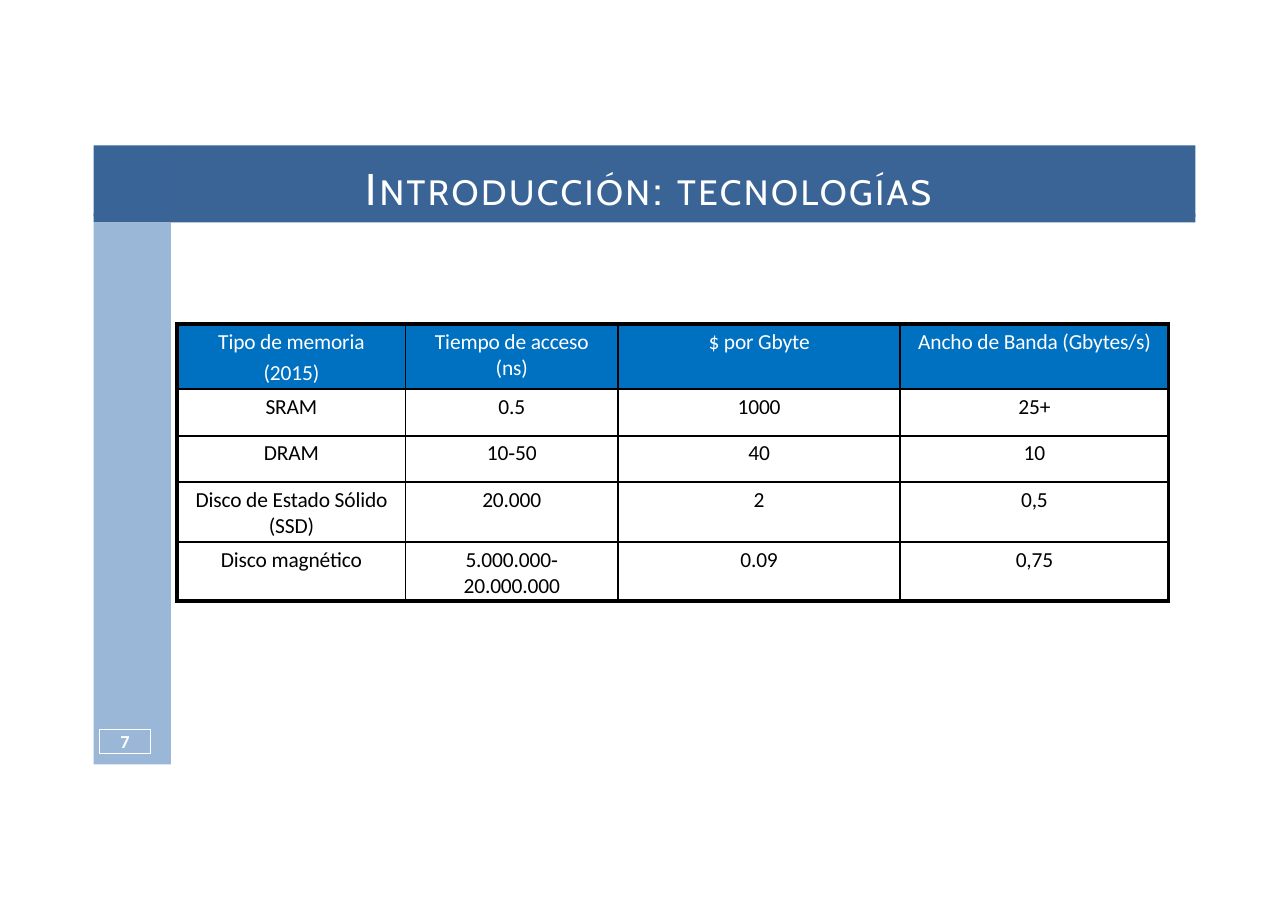
import dataclasses

import lxml.etree
import pptx
import pptx.dml.color
import pptx.enum.shapes
import pptx.enum.text
import pptx.oxml.ns
import pptx.util

RGBColor = pptx.dml.color.RGBColor
WHITE = RGBColor(0xFF, 0xFF, 0xFF)
BLACK = RGBColor(0, 0, 0)
HEADER_BLUE = RGBColor(0x39, 0x64, 0x95)
CORNER_BLUE = RGBColor(0x39, 0x64, 0x97)
SIDE_BLUE = RGBColor(0x9A, 0xB7, 0xD8)
TABLE_BLUE = RGBColor(0x00, 0x70, 0xC0)

SLIDE_WIDTH = pptx.util.Inches(11.69)
SLIDE_HEIGHT = pptx.util.Inches(8.27)
CENTER = pptx.enum.text.PP_ALIGN.CENTER


def across(percent: float) -> int:
    return round(SLIDE_WIDTH * percent / 100)


def down(percent: float) -> int:
    return round(SLIDE_HEIGHT * percent / 100)


@dataclasses.dataclass(frozen=True)
class Area:
    left: float
    top: float
    width: float
    height: float

    def box(self) -> tuple[int, int, int, int]:
        return across(self.left), down(self.top), across(self.width), down(self.height)


@dataclasses.dataclass(frozen=True)
class Band:
    area: Area
    color: RGBColor


@dataclasses.dataclass(frozen=True)
class Column:
    width: float
    side_margin: float = 0


BANDS = [
    Band(Area(13.26, 15.96, 79.55, 7.86), HEADER_BLUE),
    Band(Area(7.27, 24.43, 5.99, 59.49), SIDE_BLUE),
    Band(Area(7.27, 15.96, 5.99, 7.74), CORNER_BLUE),
    Band(Area(7.27, 23.46, 85.54, 0.97), HEADER_BLUE),
]
TITLE_AREA = Area(28.4, 17.65, 62.27, 6.17)
TITLE_SPANS = [("I", 29), ("NTRODUCCIÓN", 23), (": ", 29), ("TECNOLOGÍAS", 23)]
NUMBER_AREA = Area(7.7, 80.05, 4.02, 2.66)

TABLE_LEFT, TABLE_TOP = 13.77, 35.55
COLUMNS = [Column(17.71), Column(16.51, 1.71), Column(21.9), Column(20.87)]
ROW_HEIGHTS = [7.13, 5.14, 5.14, 6.53, 6.53]
MEMORY_ROWS = [
    [["Tipo de memoria", "(2015)"], ["Tiempo de acceso (ns)"],
     ["$ por Gbyte"], ["Ancho de Banda (Gbytes/s)"]],
    [["SRAM"], ["0.5"], ["1000"], ["25+"]],
    [["DRAM"], ["10‐50"], ["40"], ["10"]],
    [["Disco de Estado Sólido (SSD)"], ["20.000"], ["2"], ["0,5"]],
    [["Disco magnético"], ["5.000.000‐", "20.000.000"], ["0.09"], ["0,75"]],
]


def add_span(para, text: str, *, size: float, font: str = "Calibri",
             color: RGBColor = WHITE, bold: bool = False, spacing: float = 0) -> None:
    span = para.add_run()
    span.text = text
    span.font.size = pptx.util.Pt(size)
    span.font.name = font
    span.font.color.rgb = color
    span.font.bold = bold
    span.font._element.set("spc", str(round(spacing * 100)))


def set_margins(box, *, top: float = 0, side: float = 0) -> None:
    box.margin_left = box.margin_right = across(side)
    box.margin_top = down(top)
    box.margin_bottom = 0


def add_rectangle(page, area: Area):
    box = page.shapes.add_shape(pptx.enum.shapes.MSO_SHAPE.RECTANGLE, *area.box())
    box.shadow.inherit = False
    return box


def draw_band(page, band: Band) -> None:
    box = add_rectangle(page, band.area)
    box.fill.solid()
    box.fill.fore_color.rgb = band.color
    box.line.fill.background()


def draw_title(page) -> None:
    title = page.shapes.title
    title.left, title.top, title.width, title.height = TITLE_AREA.box()
    frame = title.text_frame
    frame.auto_size = pptx.enum.text.MSO_AUTO_SIZE.NONE
    frame.vertical_anchor = pptx.enum.text.MSO_ANCHOR.TOP
    set_margins(frame)
    para = frame.paragraphs[0]
    para.alignment = pptx.enum.text.PP_ALIGN.LEFT
    for text, size in TITLE_SPANS:
        add_span(para, text, size=size, font="Cabin", spacing=1.6)


def draw_number(page) -> None:
    box = add_rectangle(page, NUMBER_AREA)
    box.fill.background()
    box.line.color.rgb = WHITE
    box.line.width = pptx.util.Pt(0.75)
    frame = box.text_frame
    frame.vertical_anchor = pptx.enum.text.MSO_ANCHOR.MIDDLE
    set_margins(frame)
    para = frame.paragraphs[0]
    para.alignment = CENTER
    add_span(para, "7", size=12, bold=True)


def add_borders(cell, widths: dict[str, float]) -> None:
    properties = cell._tc.get_or_add_tcPr()
    qn = pptx.oxml.ns.qn
    for side, width in widths.items():
        line = lxml.etree.SubElement(properties, qn(f"a:ln{side}"), w=str(pptx.util.Pt(width)))
        fill = lxml.etree.SubElement(line, qn("a:solidFill"))
        lxml.etree.SubElement(fill, qn("a:srgbClr"), val=str(BLACK))


def fill_cell(cell, lines: list[str], *, header: bool, side_margin: float) -> None:
    if header:
        cell.fill.solid()
        cell.fill.fore_color.rgb = TABLE_BLUE
    else:
        cell.fill.background()
    set_margins(cell, top=0.55, side=side_margin)
    for index, text in enumerate(lines):
        frame = cell.text_frame
        para = frame.add_paragraph() if index else frame.paragraphs[0]
        para.alignment = CENTER
        if header and index:
            para.space_before = pptx.util.Pt(3.4)
        add_span(para, text, size=14, color=WHITE if header else BLACK, spacing=-0.1)


def draw_table(page) -> None:
    area = Area(TABLE_LEFT, TABLE_TOP, sum(c.width for c in COLUMNS), sum(ROW_HEIGHTS))
    table = page.shapes.add_table(len(ROW_HEIGHTS), len(COLUMNS), *area.box()).table
    table.horz_banding = False
    last_row, last_column = len(ROW_HEIGHTS) - 1, len(COLUMNS) - 1
    for index, column in enumerate(COLUMNS):
        table.columns[index].width = across(column.width)
    for row, height in enumerate(ROW_HEIGHTS):
        table.rows[row].height = down(height)
        for index, column in enumerate(COLUMNS):
            cell = table.cell(row, index)
            add_borders(cell, {
                "L": 3 if index == 0 else 1,
                "R": 2.25 if index == last_column else 1,
                "T": 3 if row == 0 else 1.5,
                "B": 3 if row == last_row else 1.5,
            })
            fill_cell(cell, MEMORY_ROWS[row][index], header=row == 0,
                      side_margin=column.side_margin)


def main() -> None:
    deck = pptx.Presentation()
    deck.slide_width, deck.slide_height = SLIDE_WIDTH, SLIDE_HEIGHT
    page = deck.slides.add_slide(deck.slide_layouts.get_by_name("Title Only"))
    tree = page.shapes._spTree
    for band in BANDS:
        draw_band(page, band)
    tree.append(page.shapes.title._element)
    draw_title(page)
    draw_number(page)
    draw_table(page)
    deck.save("out.pptx")


if __name__ == "__main__":
    main()
